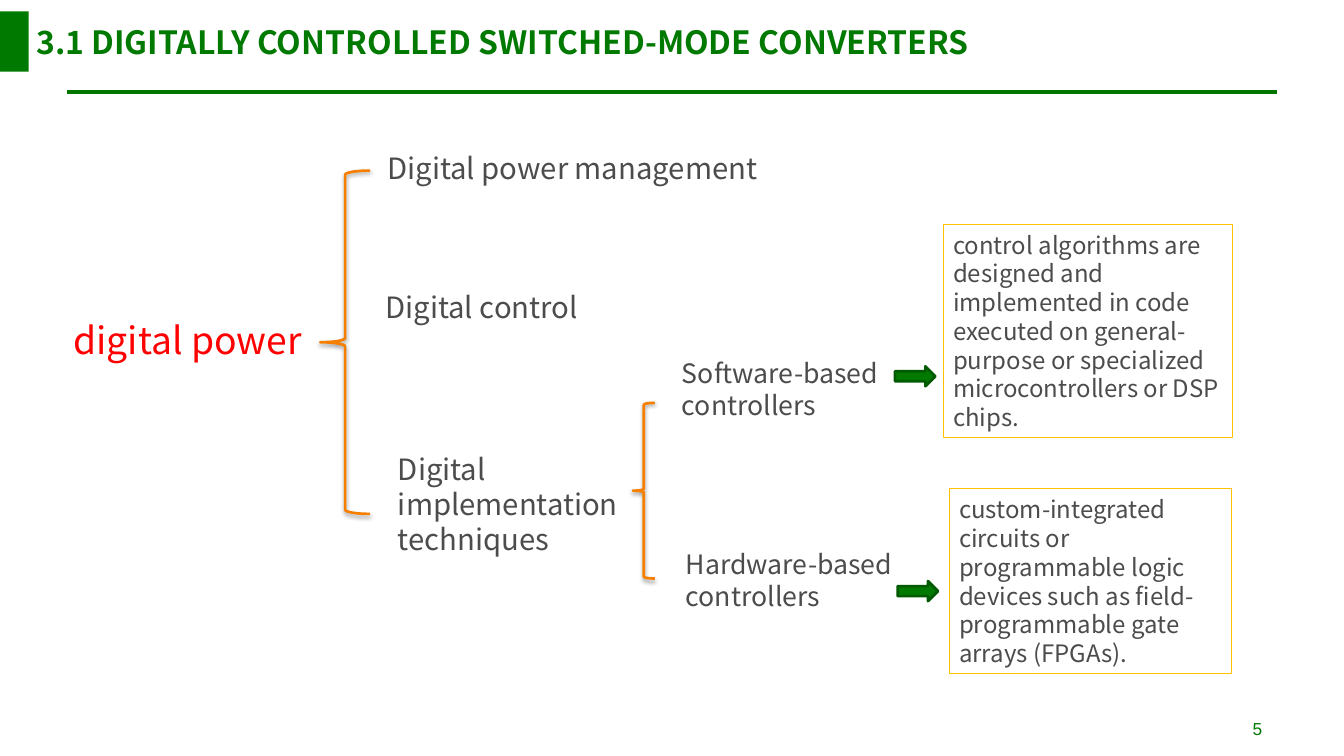
from lxml.etree import SubElement
from pptx import Presentation
from pptx.dml.color import RGBColor
from pptx.enum.shapes import MSO_CONNECTOR, MSO_SHAPE
from pptx.enum.text import MSO_ANCHOR, PP_ALIGN
from pptx.oxml.ns import qn
from pptx.util import Cm, Pt

GREEN = RGBColor(0x00, 0x79, 0x00)
RULE_GREEN = RGBColor(0x00, 0x76, 0x00)
DARK_GREEN = RGBColor(0x00, 0x5A, 0x00)
ORANGE = RGBColor(0xF7, 0x7F, 0x00)
GOLD = RGBColor(0xFF, 0xC0, 0x00)
GRAY = RGBColor(0x4C, 0x4C, 0x4C)
RED = RGBColor(0xFF, 0x00, 0x00)


class SlideBuilder:
    """Draw styled elements on the current slide, with lengths in centimetres."""

    font_name = "Noto Sans CJK SC"
    line_height = 1.2
    frame_format = {
        "word_wrap": True,
        "margin_left": Cm(0.25),
        "margin_right": Cm(0.25),
        "margin_top": Cm(0.13),
        "margin_bottom": Cm(0.13),
    }

    def __init__(self, slide):
        self.slide = slide

    def set_text(self, shape, paragraphs, size, color, anchor=MSO_ANCHOR.TOP, **font_format):
        frame = shape.text_frame
        for name, value in {**self.frame_format, "vertical_anchor": anchor}.items():
            setattr(frame, name, value)
        frame.text = "\n".join(paragraphs)
        paragraph_format = {
            "alignment": PP_ALIGN.LEFT,
            "line_spacing": Pt(size * self.line_height),
        }
        font_values = {"name": self.font_name, "size": Pt(size), **font_format}
        for paragraph in frame.paragraphs:
            for name, value in paragraph_format.items():
                setattr(paragraph, name, value)
            for run in paragraph.runs:
                for name, value in font_values.items():
                    setattr(run.font, name, value)
                run.font.color.rgb = color

    def label(self, box, text, size=22, color=GRAY, **font_format):
        text_box = self.slide.shapes.add_textbox(*map(Cm, box))
        self.set_text(text_box, [text], size, color, **font_format)

    def shape(self, kind, box, fill=None, line=None, width=2):
        shape = self.slide.shapes.add_shape(kind, *map(Cm, box))
        shape.shadow.inherit = False
        if fill is None:
            shape.fill.background()
        else:
            shape.fill.solid()
            shape.fill.fore_color.rgb = fill
        if line is None:
            shape.line.fill.background()
        else:
            shape.line.color.rgb = line
            shape.line.width = Pt(width)
        return shape

    def description(self, box, *paragraphs):
        shape = self.shape(MSO_SHAPE.RECTANGLE, box, line=GOLD, width=0.75)
        self.set_text(shape, paragraphs, 18, GRAY, MSO_ANCHOR.MIDDLE)

    def brace(self, box):
        shape = self.shape(MSO_SHAPE.LEFT_BRACE, box, line=ORANGE)
        effects = shape._element.spPr.find(qn("a:effectLst"))
        shadow = SubElement(
            effects, qn("a:outerShdw"), blurRad=str(Pt(3.1)), dist=str(Pt(1.6)),
            dir="5400000", rotWithShape="0",
        )
        color = SubElement(shadow, qn("a:srgbClr"), val="000000")
        SubElement(color, qn("a:alpha"), val="38000")

    def arrow(self, left, top):
        self.shape(MSO_SHAPE.RIGHT_ARROW, (left, top, 1.07, 0.53), GREEN, DARK_GREEN)

    def rule(self, left, right, top):
        connector = self.slide.shapes.add_connector(
            MSO_CONNECTOR.STRAIGHT, Cm(left), Cm(top), Cm(right), Cm(top)
        )
        connector.line.color.rgb = RULE_GREEN
        connector.line.width = Pt(3)
        SubElement(connector._element.spPr, qn("a:effectLst"))


def main():
    presentation = Presentation()
    presentation.slide_width = Cm(35.59)
    presentation.slide_height = Cm(20.02)
    builder = SlideBuilder(presentation.slides.add_slide(presentation.slide_layouts[6]))

    builder.rule(1.78, 33.81, 2.44)
    builder.shape(MSO_SHAPE.RECTANGLE, (0, 0.3, 0.76, 1.6), GREEN)
    builder.label(
        (0.71, 0.48, 27.66, 1.27), "3.1 DIGITALLY CONTROLLED SWITCHED-MODE CONVERTERS",
        24, GREEN, bold=True,
    )

    builder.label((1.7, 8.28, 7.09, 1.45), "digital power", 28, RED)
    builder.brace((8.48, 4.52, 1.32, 9.09))
    builder.label((10.01, 3.86, 10.77, 1.19), "Digital power management")
    builder.label((9.96, 7.54, 5.87, 1.19), "Digital control")
    builder.label((10.29, 11.81, 6.98, 3.07), "Digital implementation techniques")

    builder.brace((16.76, 10.67, 0.58, 4.65))
    builder.label((17.81, 9.32, 6.2, 1.96), "Software-based controllers", 20)
    builder.label((17.91, 14.38, 6.17, 1.96), "Hardware-based controllers", 20)
    builder.arrow(23.7, 9.7)
    builder.arrow(23.77, 15.39)
    builder.description(
        (24.99, 5.94, 7.65, 5.64),
        "control algorithms are designed and",
        "implemented in code executed on general-purpose or specialized "
        "microcontrollers or DSP chips.",
    )
    builder.description(
        (25.15, 12.95, 7.47, 4.88),
        "custom-integrated circuits or programmable logic devices such as "
        "field-programmable gate arrays (FPGAs).",
    )
    builder.label((32.92, 18.9, 2.36, 0.89), "5", 13, GREEN, name="Arial")

    presentation.save("out.pptx")


if __name__ == "__main__":
    main()
